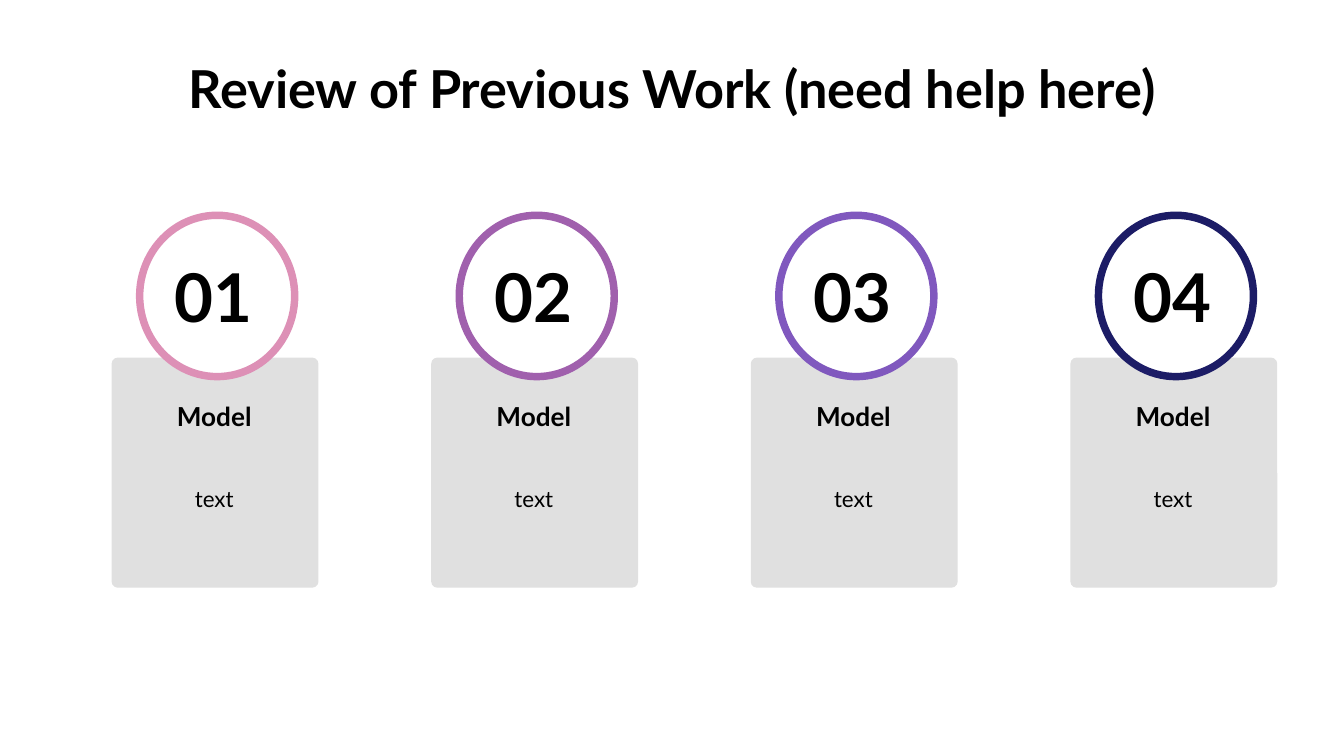
from pptx import Presentation
from pptx.dml.color import RGBColor
from pptx.enum.shapes import MSO_SHAPE
from pptx.enum.text import MSO_ANCHOR, MSO_AUTO_SIZE, PP_ALIGN
from pptx.util import Cm, Pt

CARD = MSO_SHAPE.ROUNDED_RECTANGLE
RING = MSO_SHAPE.OVAL
TOP, MIDDLE = MSO_ANCHOR.TOP, MSO_ANCHOR.MIDDLE
CENTER = PP_ALIGN.CENTER
FIXED = MSO_AUTO_SIZE.NONE

FONT = "Lato"
BLACK, WHITE, GREY = "000000", "FFFFFF", "E0E0E0"
STEP = 6.04  # distance between columns, cm

# Number, ring colour, heading, body
STAGES = [
    ("01", "DD90B6", "Model", "text"),
    ("02", "A060AD", "Model", "text"),
    ("03", "8058BE", "Model", "text"),
    ("04", "1C1C66", "Model", "text"),
]


def color(value):
    return RGBColor.from_string(value)


def write(shape, text, size, bold=False, anchor=MIDDLE, pads=(0.25, 0.25)):
    frame = shape.text_frame
    frame.text = text
    frame.word_wrap = True
    frame.auto_size = FIXED
    frame.vertical_anchor = anchor
    frame.margin_left, frame.margin_right = map(Cm, pads)
    frame.margin_top = frame.margin_bottom = Cm(0.25)
    para = frame.paragraphs[0]
    para.alignment = CENTER
    para.font.name = FONT
    para.font.size = Pt(size)
    para.font.bold = bold
    para.font.color.rgb = color(BLACK)


def add_title(slide, text):
    title = slide.shapes.title
    title.left, title.top = Cm(1.27), Cm(0.81)
    title.width, title.height = Cm(22.86), Cm(1.6)
    write(title, text, 28, True, TOP)


def add_form(slide, kind, box, fill, line=None):
    form = slide.shapes.add_shape(kind, *map(Cm, box))
    form.shadow.inherit = False
    form.fill.solid()
    form.fill.fore_color.rgb = color(fill)
    if line:
        form.line.color.rgb = color(line)
        form.line.width = Pt(4)
    else:
        form.line.fill.background()
    return form


def add_label(slide, box, text, size, bold=False, pads=(0.25, 0.25)):
    label = slide.shapes.add_textbox(*map(Cm, box))
    write(label, text, size, bold, pads=pads)


def add_stage(slide, shift, number, hue, head, body):
    # Card behind the ring
    card = add_form(slide, CARD, (2.11 + shift, 6.76, 3.91, 4.35), GREY)
    card.adjustments[0] = 0.03

    # Numbered ring
    ring = add_form(slide, RING, (2.64 + shift, 4.07, 2.93, 3.05), WHITE, hue)
    write(ring, number, 36, True, pads=(0, 0.13))

    # Heading and body
    add_label(slide, (2.17 + shift, 7.35, 3.76, 1.04), head, 14, True)
    add_label(slide, (2.16 + shift, 8.67, 3.78, 1.5), body, 12,
              pads=(0.5, 0.5))


def main():
    deck = Presentation()
    deck.slide_width, deck.slide_height = Cm(25.4), Cm(14.29)
    slide = deck.slides.add_slide(deck.slide_layouts[5])
    add_title(slide, "Review of Previous Work (need help here)")
    for i, stage in enumerate(STAGES):
        add_stage(slide, i * STEP, *stage)
    deck.save("out.pptx")


if __name__ == "__main__":
    main()
